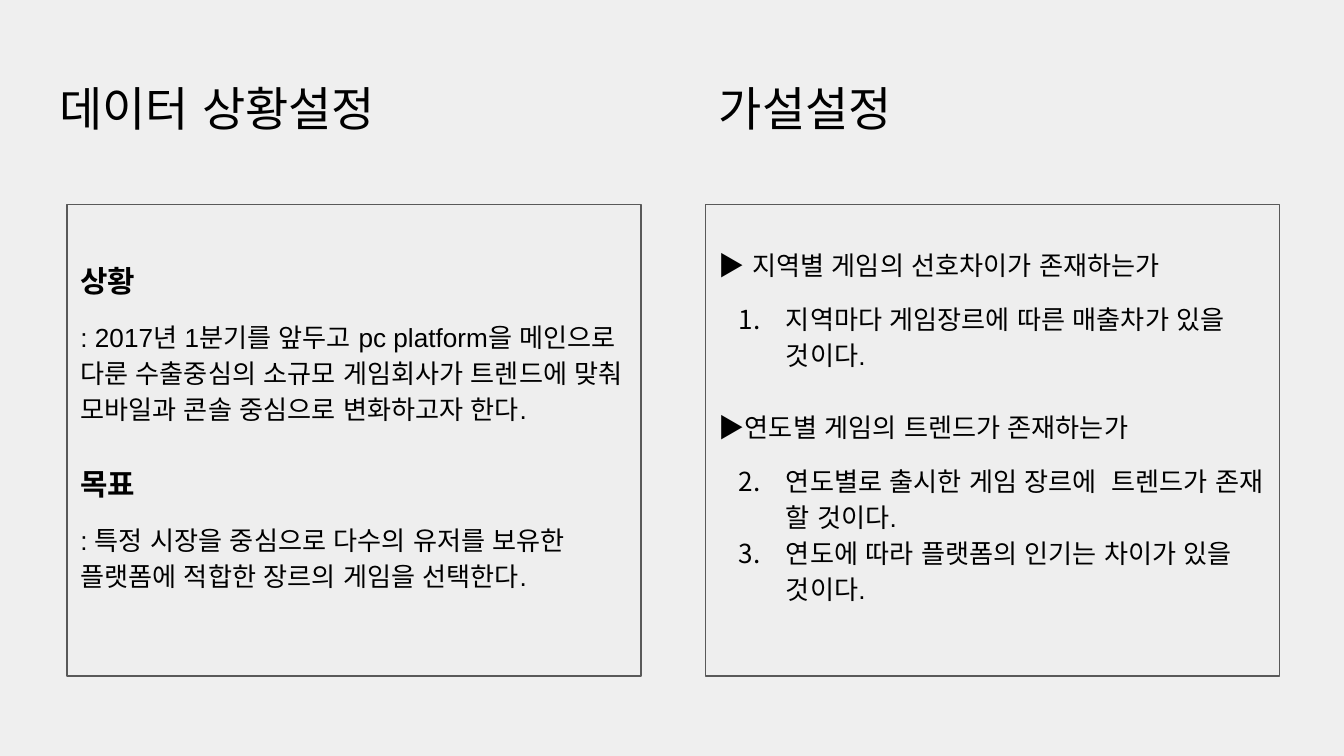
from lxml import etree
from pptx import Presentation
from pptx.dml.color import RGBColor
from pptx.enum.lang import MSO_LANGUAGE_ID
from pptx.enum.shapes import MSO_SHAPE
from pptx.enum.text import MSO_ANCHOR, MSO_AUTO_SIZE, PP_ALIGN
from pptx.oxml.ns import qn
from pptx.util import Inches, Pt

RECT = MSO_SHAPE.RECTANGLE
TOP, MIDDLE = MSO_ANCHOR.TOP, MSO_ANCHOR.MIDDLE
LEFT = PP_ALIGN.LEFT
NO_FIT = MSO_AUTO_SIZE.NONE
KOREAN = MSO_LANGUAGE_ID.KOREAN

INK = "000000"
WIDTH = 4.27
SMALL, LARGE = 9.6, 19.3  # gaps above paragraphs, in points

# Each paragraph: text, size, bold, gap above, list number
GOAL = [
    ("상황", 16, True, 0, None),
    (": 2017년 1분기를 앞두고 pc platform을 메인으로 다룬 수출중심의 소규모 "
     "게임회사가 트렌드에 맞춰 모바일과 콘솔 중심으로 변화하고자 한다.",
     14, False, SMALL, None),
    ("목표", 16, True, LARGE, None),
    (": 특정 시장을 중심으로 다수의 유저를 보유한 플랫폼에 적합한 장르의 "
     "게임을 선택한다.", 14, False, SMALL, None),
]
# A list number is the start of its own list
THEORY = [
    ("▶ 지역별 게임의 선호차이가 존재하는가", 14, False, 0, None),
    ("지역마다 게임장르에 따른 매출차가 있을 것이다.", 14, False, SMALL, 1),
    ("▶연도별 게임의 트렌드가 존재하는가", 14, False, LARGE, None),
    ("연도별로 출시한 게임 장르에  트렌드가 존재 할 것이다.", 14, False, SMALL, 2),
    ("연도에 따라 플랫폼의 인기는 차이가 있을 것이다.", 14, False, 0, 2),
]


def color(code):
    return RGBColor.from_string(code)


def set_frame(frame, anchor, bottom=0.1):
    frame.word_wrap = True
    frame.auto_size = NO_FIT
    frame.vertical_anchor = anchor
    frame.margin_left = frame.margin_right = frame.margin_top = Inches(0.1)
    frame.margin_bottom = Inches(bottom)


def set_font(para, name, size, bold=False):
    para.alignment = LEFT
    for run in para.runs:
        font = run.font
        font.name, font.size, font.bold = name, Pt(size), bold
        font.color.rgb = color(INK)
        font.language_id = KOREAN


def add_number(para, start):
    props = para._p.get_or_add_pPr()
    props.set("marL", str(Inches(0.5)))
    props.set("indent", str(Inches(-0.35)))
    tint = etree.SubElement(props, qn("a:buClr"))
    etree.SubElement(tint, qn("a:srgbClr"), val=INK)
    etree.SubElement(props, qn("a:buAutoNum"), type="arabicPeriod",
                     startAt=str(start))


def set_title(shape, left, text):
    shape.left, shape.top = Inches(left), Inches(0.49)
    shape.width, shape.height = Inches(WIDTH), Inches(0.62)
    frame = shape.text_frame
    set_frame(frame, TOP)
    frame.text = text
    set_font(frame.paragraphs[0], "Lato", 25.2)


def add_panel(slide, left, items):
    panel = slide.shapes.add_shape(
        RECT, Inches(left), Inches(1.52), Inches(WIDTH), Inches(3.51))
    panel.shadow.inherit = False
    panel.fill.solid()
    panel.fill.fore_color.rgb = color("EEEEEE")
    panel.line.color.rgb = color("595959")
    panel.line.width = Pt(0.75)
    frame = panel.text_frame
    set_frame(frame, MIDDLE, bottom=0.33)
    for i, (text, size, bold, gap, start) in enumerate(items):
        para = frame.add_paragraph() if i else frame.paragraphs[0]
        para.text = text
        para.line_spacing = 1.15
        para.space_before = Pt(gap)
        set_font(para, "Arial", size, bold)
        if start:
            add_number(para, start)


def main():
    deck = Presentation()
    # Widescreen, 16:9
    deck.slide_width, deck.slide_height = Inches(10), Inches(10 * 9 / 16)
    slide = deck.slides.add_slide(deck.slide_layouts[5])
    back = slide.background.fill
    back.solid()
    back.fore_color.rgb = color("EFEFEF")

    # Left column: situation and goal
    set_title(slide.shapes.title, 0.34, "데이터 상황설정")
    add_panel(slide, 0.5, GOAL)

    # Right column: hypotheses
    head = slide.shapes.add_textbox(0, 0, 0, 0)
    set_title(head, 5.25, "가설설정")
    add_panel(slide, 5.25, THEORY)

    deck.save("out.pptx")


if __name__ == "__main__":
    main()
